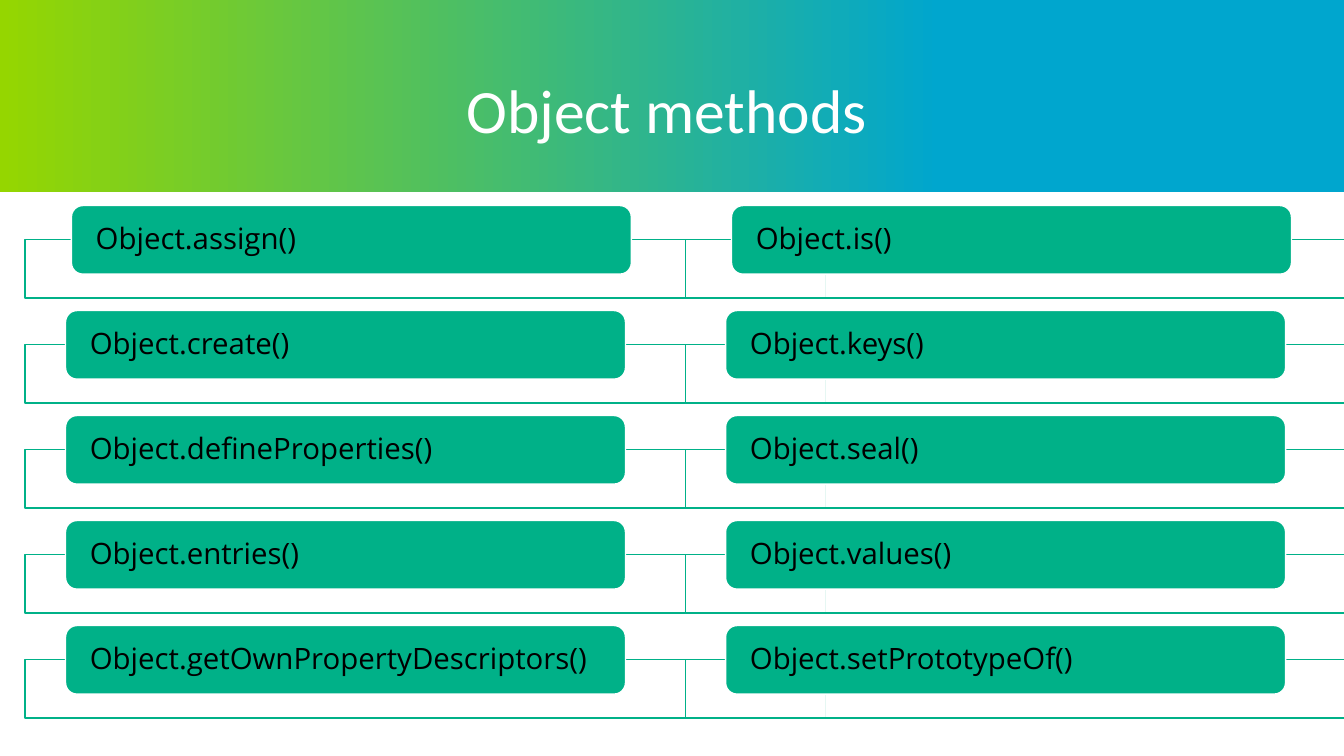
from lxml import etree
from pptx import Presentation
from pptx import util as u
from pptx.dml.color import RGBColor
from pptx.enum import shapes, text
from pptx.oxml.ns import qn

# Content
TITLE = "Object methods"
COLUMNS = [
    ["Object.assign()", "Object.create()", "Object.defineProperties()",
     "Object.entries()", "Object.getOwnPropertyDescriptors()"],
    ["Object.is()", "Object.keys()", "Object.seal()",
     "Object.values()", "Object.setPrototypeOf()"],
]

# Colours and layout, in points
GREEN, WHITE, BLACK = "00B188", "FFFFFF", "000000"
BLUE, LIME = "00A6CE", "95D600"
PAGE_W, PAGE_H, HEADER_H = 960, 540, 137.3
COLUMN_LEFT, COLUMN_STEP = 18, 471.5
ROW_TOP, ROW_STEP = 146.8, 75
FRAME_DROP, FRAME_W, FRAME_H = 24.4, 571.7, 41.8
PILL_INDENT, FIRST_EXTRA, PILL_W, PILL_H = 28.8, 4.2, 400, 49

RECT = shapes.MSO_SHAPE.RECTANGLE
PILL = shapes.MSO_SHAPE.ROUNDED_RECTANGLE
TITLE_FRAME = dict(margin_left=0, margin_right=u.Pt(7.2), margin_top=u.Pt(3.6),
                   margin_bottom=u.Pt(3.6))
PILL_FRAME = dict(margin_left=u.Pt(15), margin_right=u.Pt(15), margin_top=0,
                  margin_bottom=0)


def color(value):
    return RGBColor.from_string(value)


def add_box(parent, kind, place, fill, line=None):
    box = parent.shapes.add_shape(kind, *map(u.Pt, place))
    box.shadow.inherit = False
    box.fill.solid()
    box.fill.fore_color.rgb = color(fill)
    if line:
        box.line.color.rgb = color(line)
        box.line.width = u.Pt(1)
    else:
        box.line.fill.background()
    return box


def write(box, words, size, font, ink, align, frame_format):
    frame = box.text_frame
    formats = dict(frame_format, word_wrap=True, auto_size=text.MSO_AUTO_SIZE.NONE,
                   vertical_anchor=text.MSO_ANCHOR.MIDDLE)
    for name, value in formats.items():
        setattr(frame, name, value)
    para = frame.paragraphs[0]
    para.alignment, para.line_spacing = align, 0.9
    span = para.add_run()
    span.text = words
    span.font.size, span.font.name = u.Pt(size), font
    span.font.color.rgb = color(ink)


deck = Presentation()
deck.slide_width, deck.slide_height = u.Pt(PAGE_W), u.Pt(PAGE_H)
page = deck.slides.add_slide(deck.slide_layouts[5])

# Gradient header above a white body
header = add_box(page, RECT, (0, 0, PAGE_W, PAGE_H), BLUE)
header.fill.gradient()
header.fill.gradient_angle = 180
for stop, position, shade in zip(header.fill.gradient_stops, (0.3, 1), (BLUE, LIME)):
    stop.position = position
    stop.color.rgb = color(shade)
add_box(page, RECT, (0, HEADER_H, PAGE_W, PAGE_H - HEADER_H), WHITE)

# Title, raised above the header
title = page.shapes.title
title.left, title.top, title.width, title.height = map(u.Pt, (54, 54, 852, 54))
write(title, TITLE, 44, "Calibri", WHITE, text.PP_ALIGN.CENTER, TITLE_FRAME)
page.shapes._spTree.append(title._element)

# Two columns of methods, each a pill on an outlined frame
for column, methods in enumerate(COLUMNS):
    group = page.shapes.add_group_shape()
    left = COLUMN_LEFT + column * COLUMN_STEP
    for row, method in enumerate(methods):
        top = ROW_TOP + row * ROW_STEP
        frame = add_box(group, RECT, (left, top + FRAME_DROP, FRAME_W, FRAME_H),
                        WHITE, GREEN)
        fill_color = frame._element.spPr.find(qn("a:solidFill"))[0]
        etree.SubElement(fill_color, qn("a:alpha")).set("val", "90000")

        pill_left = left + PILL_INDENT + (FIRST_EXTRA if row == 0 else 0)
        pill = add_box(group, PILL, (pill_left, top, PILL_W, PILL_H), GREEN, WHITE)
        write(pill, method, 21, "Open Sans", BLACK, text.PP_ALIGN.LEFT, PILL_FRAME)

deck.save("out.pptx")
